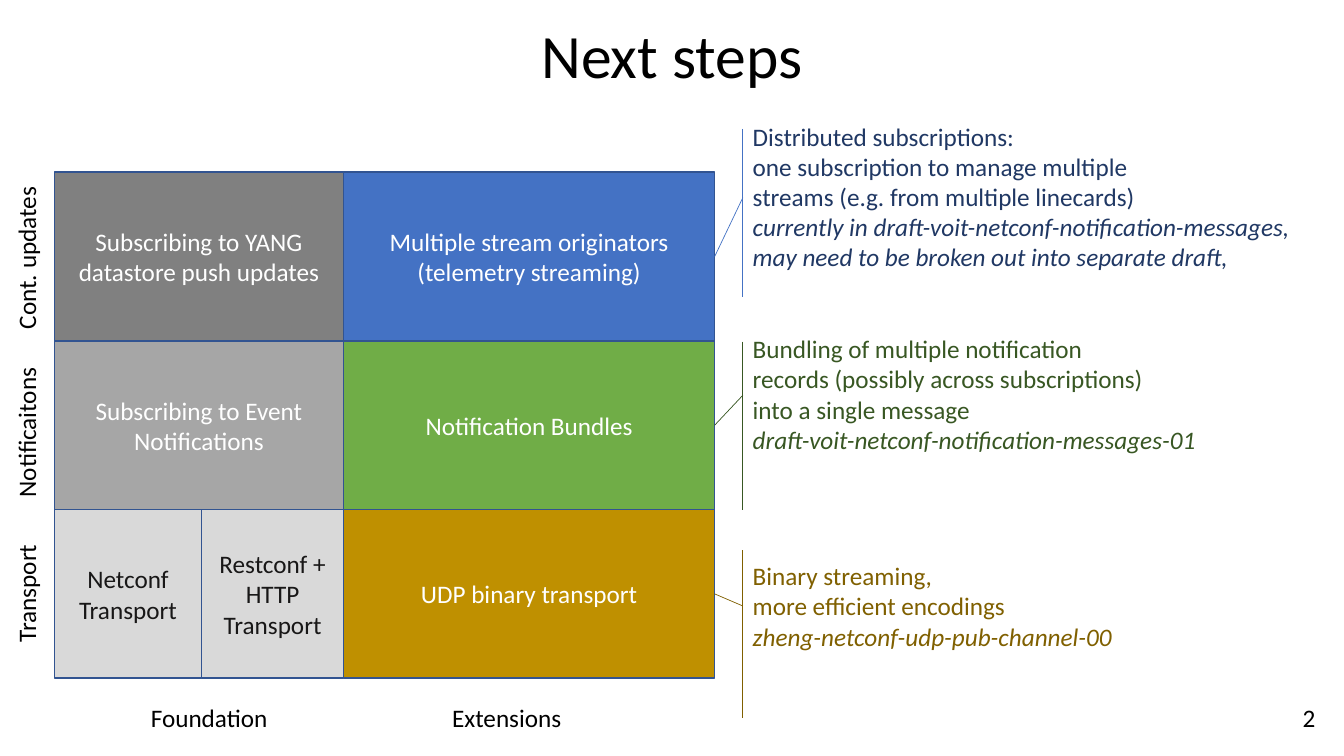
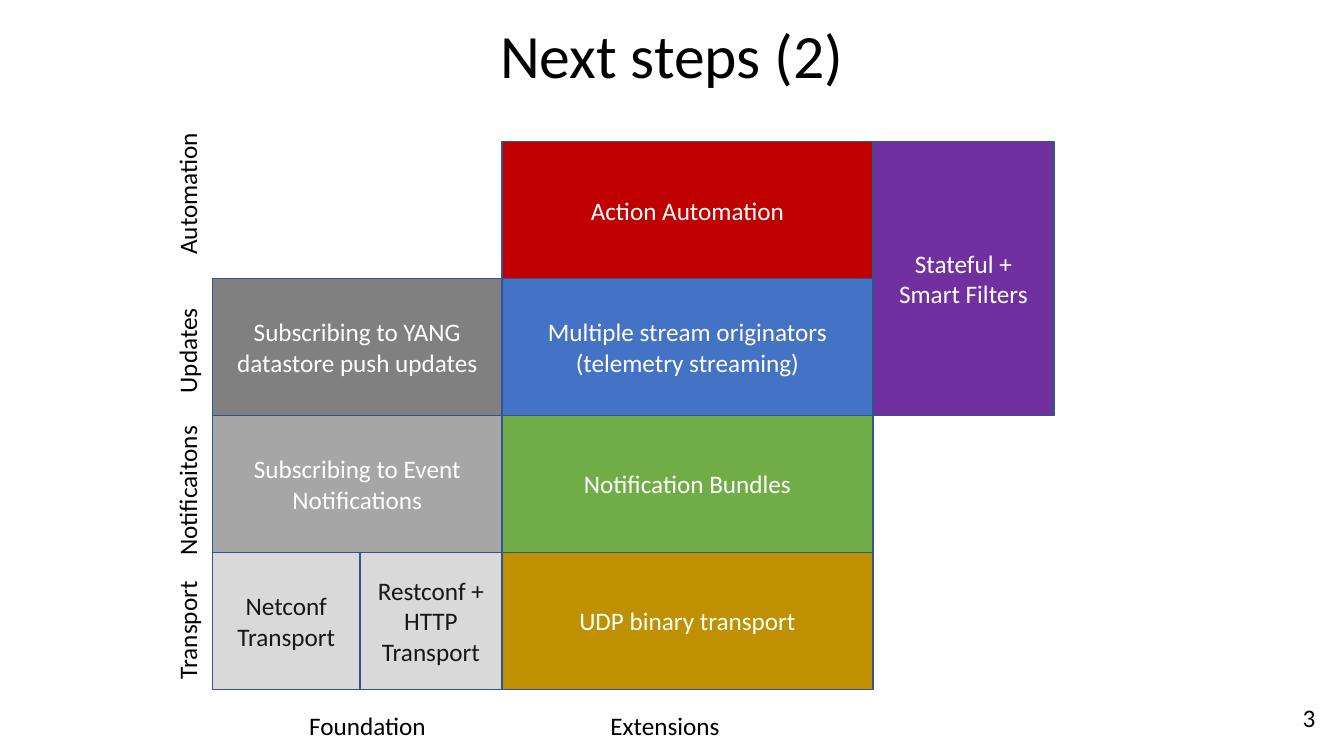
from dataclasses import dataclass

from lxml.etree import SubElement
from pptx import Presentation
from pptx.dml.color import RGBColor
from pptx.enum.shapes import MSO_CONNECTOR as Connector, MSO_SHAPE as Shape
from pptx.enum.text import MSO_ANCHOR as Anchor, PP_ALIGN as Align
from pptx.oxml.ns import qn
from pptx.util import Cm, Pt


@dataclass(frozen=True)
class Theme:
    font: str = "Calibri"
    title_size: int = 44
    body_size: int = 18
    border_width: float = 1
    leader_width: float = 0.5
    black: str = "000000"
    white: str = "FFFFFF"
    ink: str = "181717"
    border: str = "325491"
    dark_gray: str = "808080"
    gray: str = "A6A6A6"
    light_gray: str = "D9D9D9"
    blue: str = "4472C4"
    navy: str = "203864"
    green: str = "70AD47"
    dark_green: str = "385723"
    gold: str = "BF9000"
    dark_gold: str = "806000"
    purple: str = "7030A0"
    red: str = "C00000"


THEME = Theme()

# Stack columns: netconf, restconf, extensions, filters (cm)
COLUMN_WIDTHS = [3.71, 3.58, 9.35, 4.56]
COLUMN_EDGES = [sum(COLUMN_WIDTHS[:count]) for count in range(5)]

# Blocks: text, first column, column span, row from the bottom, row span, fill, font colour
CORE_BLOCKS = [
    ("Subscribing to YANG datastore push updates", 0, 2, 3, 1, THEME.dark_gray, THEME.white),
    ("Subscribing to Event Notifications", 0, 2, 2, 1, THEME.gray, THEME.white),
    ("Netconf Transport", 0, 1, 1, 1, THEME.light_gray, THEME.ink),
    ("Multiple stream originators\n(telemetry streaming)", 2, 1, 3, 1, THEME.blue, THEME.white),
    ("UDP binary transport", 2, 1, 1, 1, THEME.gold, THEME.white),
    ("Notification Bundles", 2, 1, 2, 1, THEME.green, THEME.white),
    ("Restconf + HTTP Transport", 1, 1, 1, 1, THEME.light_gray, THEME.ink),
]
AUTOMATION_BLOCKS = [
    ("Stateful + Smart Filters", 3, 1, 4, 2, THEME.purple, THEME.white),
    ("Action Automation", 2, 1, 4, 1, THEME.red, THEME.white),
]
# Column captions with their centre, measured from the stack's left edge
CAPTIONS = [("Foundation", 3.9), ("Extensions", 11.4)]

# Notes: row, plain lines, italic lines, text colour, line colour, text top, bar top, leader end
NOTES = [
    (3, ["Distributed subscriptions:", "one subscription to manage multiple",
         "streams (e.g. from multiple linecards)"],
     ["currently in draft-voit-netconf-notification-messages,",
      "may need to be broken out into separate draft,"],
     THEME.navy, THEME.blue, 2.92, 3.25, 4.98),
    (2, ["Bundling of multiple notification", "records (possibly across subscriptions)",
         "into a single message"],
     ["draft-voit-netconf-notification-messages-01"],
     THEME.dark_green, THEME.dark_green, 8.28, 8.61, 9.96),
    (1, ["Binary streaming,", "more efficient encodings"],
     ["zheng-netconf-udp-pub-channel-00"],
     THEME.dark_gold, THEME.dark_gold, 14, 13.87, 15.27),
]
NOTE_LEFT, NOTE_WIDTH, BAR_HEIGHT = 18.72, 14.3, 4.23

# Row labels hold their text and vertical centre
PAGES = [
    dict(title="Next steps", left=1.37, bottom=17.09, row_height=4.25,
         blocks=CORE_BLOCKS, caption_top=17.58, label_x=0.66, notes=NOTES,
         labels=[("Transport", 14.96), ("Notificaitons", 10.9), ("Cont. updates", 6.5)]),
    dict(title="Next steps (2)", left=5.36, bottom=17.37, row_height=3.45,
         blocks=CORE_BLOCKS + AUTOMATION_BLOCKS, caption_top=17.78, label_x=4.72, notes=[],
         labels=[("Transport", 15.88), ("Notificaitons", 12.37), ("Updates", 8.84),
                 ("Automation", 4.88)]),
]
FIRST_NUMBER = 2
LABEL_WIDTH, LABEL_HEIGHT = 4.2, 1.02


def color(value):
    return RGBColor.from_string(value)


def write(frame, text, font_color=THEME.black, align=Align.CENTER, size=THEME.body_size):
    frame.text = text
    for para in frame.paragraphs:
        para.alignment = align
        for span in para.runs:
            span.font.name = THEME.font
            span.font.size = Pt(size)
            span.font.color.rgb = color(font_color)


def add_text(page, text, left, top, width, height=LABEL_HEIGHT, **style):
    box = page.shapes.add_textbox(Cm(left), Cm(top), Cm(width), Cm(height))
    box.text_frame.word_wrap = False
    write(box.text_frame, text, **style)
    return box


def add_line(page, start, end, line_color):
    line = page.shapes.add_connector(Connector.STRAIGHT, *map(Cm, start + end))
    line.line.color.rgb = color(line_color)
    line.line.width = Pt(THEME.leader_width)
    SubElement(line._element.spPr, qn("a:effectLst"))


def add_block(page, plan, text, column, columns, row, rows, fill, font_color):
    left, right = COLUMN_EDGES[column], COLUMN_EDGES[column + columns]
    block = page.shapes.add_shape(
        Shape.RECTANGLE, Cm(plan["left"] + left), Cm(plan["bottom"] - row * plan["row_height"]),
        Cm(right - left), Cm(rows * plan["row_height"]))
    block.shadow.inherit = False
    block.fill.solid()
    block.fill.fore_color.rgb = color(fill)
    block.line.color.rgb = color(THEME.border)
    block.line.width = Pt(THEME.border_width)
    block.text_frame.vertical_anchor = Anchor.MIDDLE
    write(block.text_frame, text, font_color)


def add_note(page, plan, row, plain, italic, text_color, line_color, top, bar_top, leader_y):
    box = add_text(page, "\n".join(plain + italic), NOTE_LEFT, top, NOTE_WIDTH, 3,
                   font_color=text_color, align=Align.LEFT)
    for para in box.text_frame.paragraphs[len(plain):]:
        para.runs[0].font.italic = True
    add_line(page, (NOTE_LEFT, bar_top), (NOTE_LEFT, bar_top + BAR_HEIGHT), line_color)
    block_edge = plan["left"] + COLUMN_EDGES[3]
    block_middle = plan["bottom"] - (row - 0.5) * plan["row_height"]
    add_line(page, (block_edge, block_middle), (NOTE_LEFT, leader_y), line_color)


def add_page(deck, layout, plan, number):
    page = deck.slides.add_slide(layout)

    # Title and page number
    title = page.shapes.title.text_frame
    title.vertical_anchor = Anchor.MIDDLE
    write(title, plan["title"], size=THEME.title_size)
    title.paragraphs[0].line_spacing = 0.9
    add_text(page, str(number), 30.81, 17.58, 2.59, align=Align.RIGHT)

    # Stack, captions and row labels
    for block in plan["blocks"]:
        add_block(page, plan, *block)
    for text, center in CAPTIONS:
        add_text(page, text, plan["left"] + center - LABEL_WIDTH / 2,
                 plan["caption_top"], LABEL_WIDTH)
    for text, center in plan["labels"]:
        label = add_text(page, text, plan["label_x"] - LABEL_WIDTH / 2,
                         center - LABEL_HEIGHT / 2, LABEL_WIDTH)
        label.rotation = 270

    # Side notes
    for note in plan["notes"]:
        add_note(page, plan, *note)


def main():
    deck = Presentation()
    deck.slide_width, deck.slide_height = Cm(33.87), Cm(19.05)
    layout = deck.slide_layouts.get_by_name("Title Only")
    heading = layout.placeholders[0]
    heading.left, heading.top, heading.width, heading.height = map(Cm, (2.33, 0.2, 29.21, 2.57))
    for number, plan in enumerate(PAGES, FIRST_NUMBER):
        add_page(deck, layout, plan, number)
    deck.save("out.pptx")


if __name__ == "__main__":
    main()
